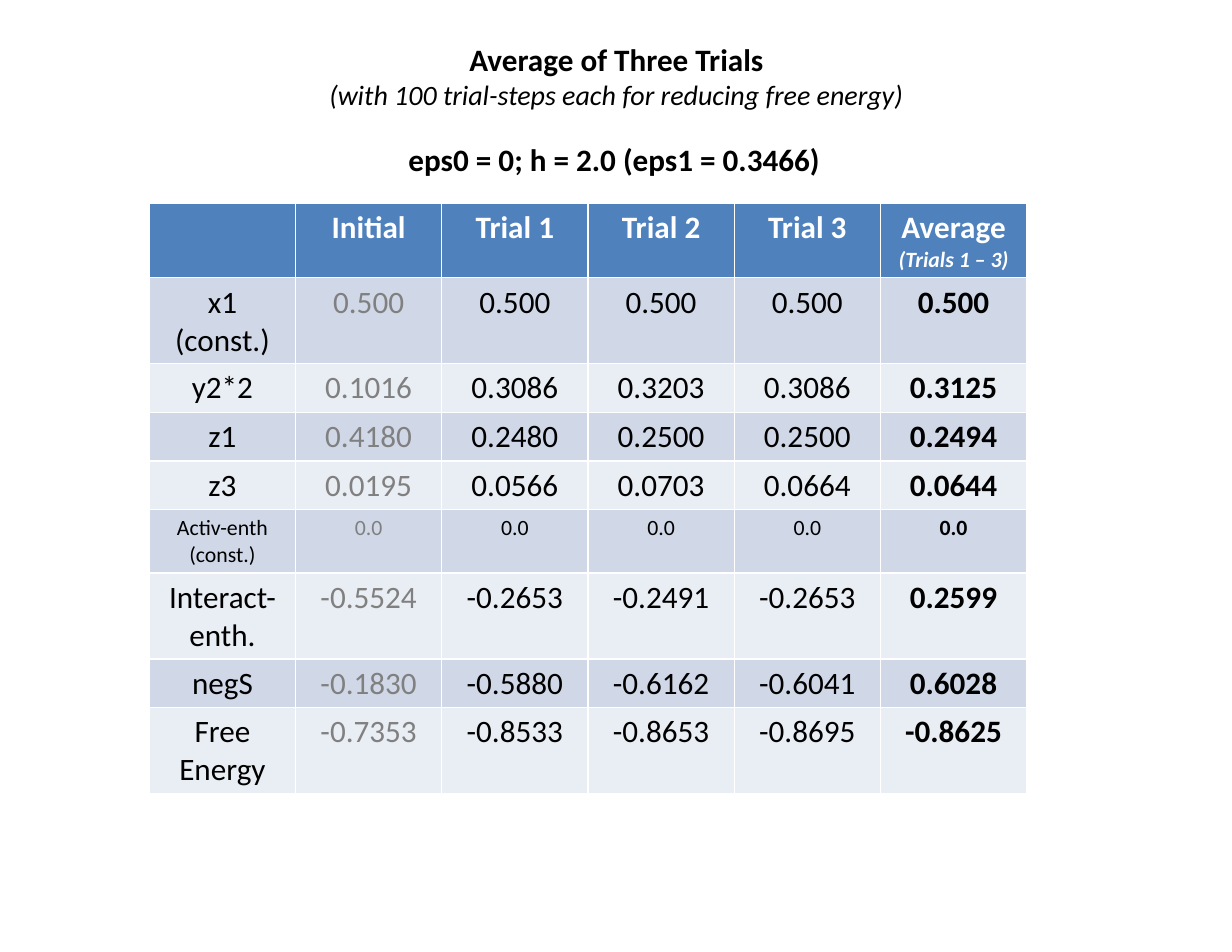
from pptx import Presentation
from pptx.dml.color import RGBColor
from pptx.enum.text import MSO_ANCHOR, MSO_AUTO_SIZE, PP_ALIGN
from pptx.util import Pt

BLACK = RGBColor(0x00, 0x00, 0x00)
WHITE = RGBColor(0xFF, 0xFF, 0xFF)
GRAY = RGBColor(0x80, 0x80, 0x80)
HEADER_BLUE = RGBColor(0x4F, 0x81, 0xBD)
BANDS = (RGBColor(0xD0, 0xD8, 0xE8), RGBColor(0xE9, 0xED, 0xF4))

FONT = "Calibri"
TITLE = "Average of Three Trials"
SUBTITLE = "(with 100 trial-steps each for reducing free energy)"
PARAMETERS = "eps0 = 0; h = 2.0 (eps1 = 0.3466)"
HEADERS = ("", "Initial", "Trial 1", "Trial 2", "Trial 3", "Average ")
AVERAGE_NOTE = "(Trials 1 – 3)"
SMALL_ROW = "Activ-enth (const.)"
RESULTS = (
    ("x1 (const.)", "0.500", "0.500", "0.500", "0.500", "0.500"),
    ("y2*2", "0.1016", "0.3086", "0.3203", "0.3086", "0.3125"),
    ("z1", "0.4180", "0.2480", "0.2500", "0.2500", "0.2494"),
    ("z3", "0.0195", "0.0566", "0.0703", "0.0664", "0.0644"),
    (SMALL_ROW, "0.0", "0.0", "0.0", "0.0", "0.0"),
    ("Interact-enth.", "-0.5524", "-0.2653", "-0.2491", "-0.2653", "0.2599"),
    ("negS", "-0.1830", "-0.5880", "-0.6162", "-0.6041", "0.6028"),
    ("Free Energy", "-0.7353", "-0.8533", "-0.8653", "-0.8695", "-0.8625"),
)
INITIAL_COLUMN = HEADERS.index("Initial")
AVERAGE_COLUMN = len(HEADERS) - 1


def style_font(font, size, color=BLACK, bold=False, italic=False):
    """Set the typeface, size, colour and weight of a font."""
    font.name = FONT
    font.size = Pt(size)
    font.color.rgb = color
    font.bold = bold
    font.italic = italic


def place_text(shape, left, top, width, height):
    """Fit a text shape to a box, anchored at the top and unwrapped."""
    shape.left, shape.top = Pt(left), Pt(top)
    shape.width, shape.height = Pt(width), Pt(height)
    frame = shape.text_frame
    frame.word_wrap = False
    frame.auto_size = MSO_AUTO_SIZE.SHAPE_TO_FIT_TEXT
    frame.vertical_anchor = MSO_ANCHOR.TOP
    return frame


def add_title(slide, left, top, width, height):
    """Fill the title placeholder with the title and its italic subtitle."""
    frame = place_text(slide.shapes.title, left, top, width, height)
    frame.text = f"{TITLE}\n{SUBTITLE}"
    heading, subtitle = frame.paragraphs
    for paragraph in frame.paragraphs:
        paragraph.alignment = PP_ALIGN.CENTER
    style_font(heading.font, 20, bold=True)
    style_font(subtitle.font, 18, italic=True)


def add_parameters(slide, left, top, width, height):
    """Add the line of model parameters above the table."""
    shape = slide.shapes.add_textbox(Pt(left), Pt(top), Pt(width), Pt(height))
    frame = place_text(shape, left, top, width, height)
    frame.text = PARAMETERS
    style_font(frame.paragraphs[0].font, 20, bold=True)


def fill_cell(cell, text, fill, size, color, bold):
    """Write centred text in a filled table cell and return its paragraph."""
    cell.fill.solid()
    cell.fill.fore_color.rgb = fill
    cell.text = text
    paragraph = cell.text_frame.paragraphs[0]
    paragraph.alignment = PP_ALIGN.CENTER
    style_font(paragraph.font, size, color, bold)
    return paragraph


def add_results_table(slide, left, top, width, row_height):
    """Add the table of trial results with a header and banded rows."""
    row_count = len(RESULTS) + 1
    table = slide.shapes.add_table(
        row_count, len(HEADERS), Pt(left), Pt(top), Pt(width), Pt(row_height * row_count)
    ).table
    for column, text in enumerate(HEADERS):
        paragraph = fill_cell(table.cell(0, column), text, HEADER_BLUE, 20, WHITE, True)
    note = paragraph.add_run()
    note.text = AVERAGE_NOTE
    style_font(note.font, 14, WHITE, bold=True, italic=True)

    for row, values in enumerate(RESULTS, start=1):
        size = 14 if values[0] == SMALL_ROW else 20
        for column, text in enumerate(values):
            color = GRAY if column == INITIAL_COLUMN else BLACK
            fill = BANDS[(row - 1) % 2]
            fill_cell(table.cell(row, column), text, fill, size, color, column == AVERAGE_COLUMN)


def main():
    """Build and save the presentation."""
    presentation = Presentation()
    presentation.slide_width, presentation.slide_height = Pt(792), Pt(612)
    slide = presentation.slides.add_slide(presentation.slide_layouts.get_by_name("Title Only"))
    add_results_table(slide, 96, 130.5, 564, 29.2)
    add_parameters(slide, 255.5, 87, 281.5, 31.5)
    add_title(slide, 202.5, 22.5, 387.5, 53)
    presentation.save("out.pptx")


if __name__ == "__main__":
    main()
